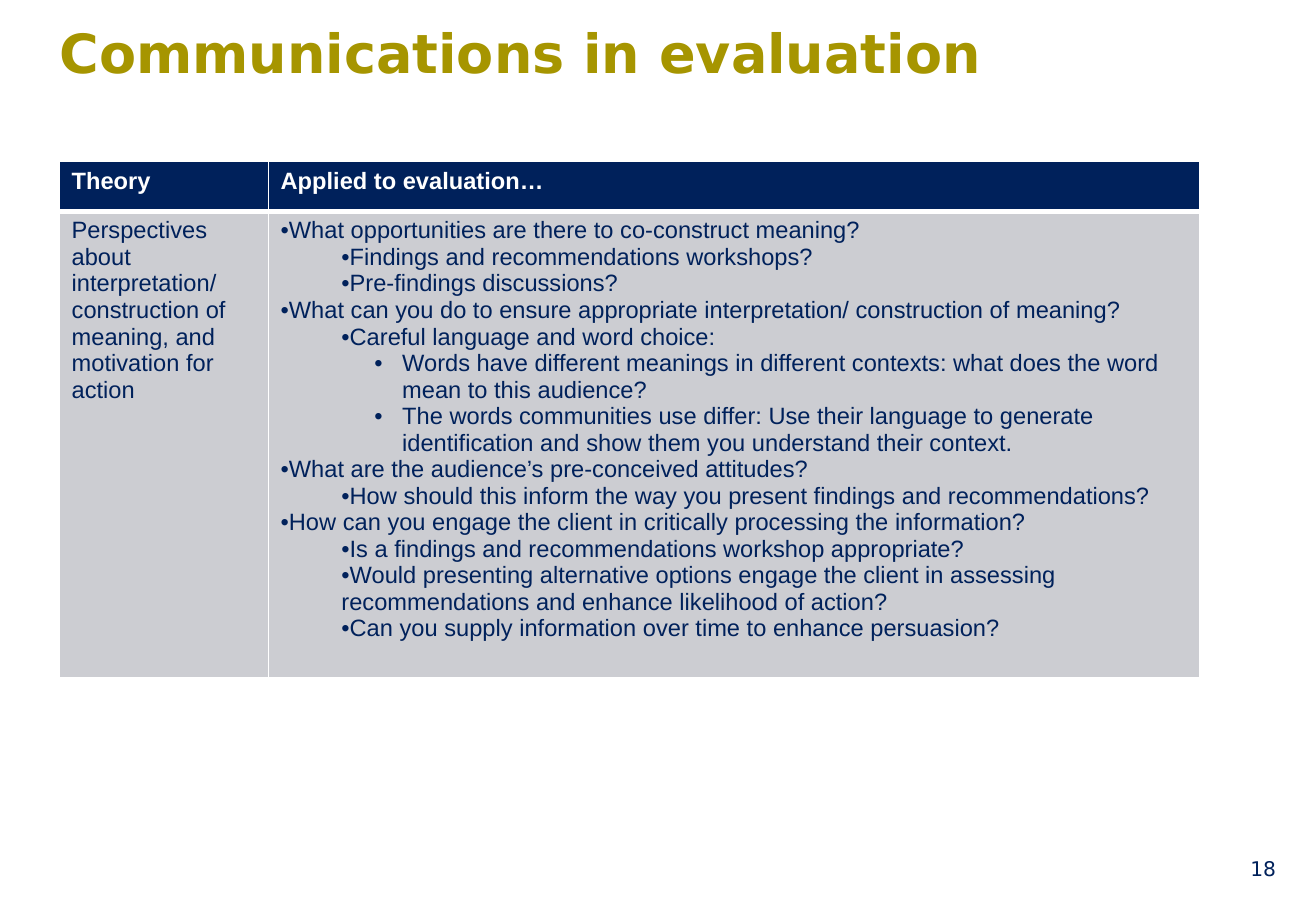
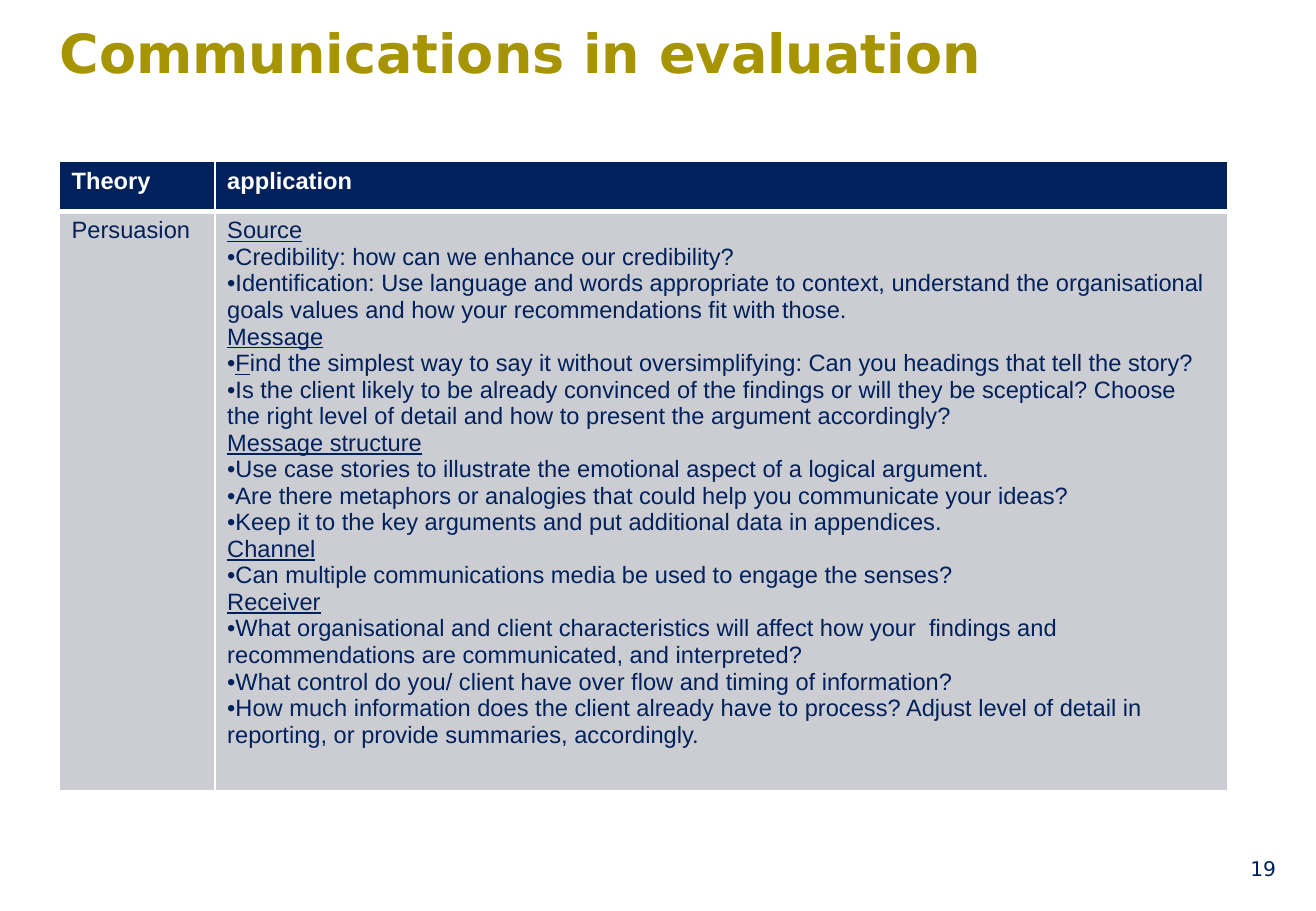
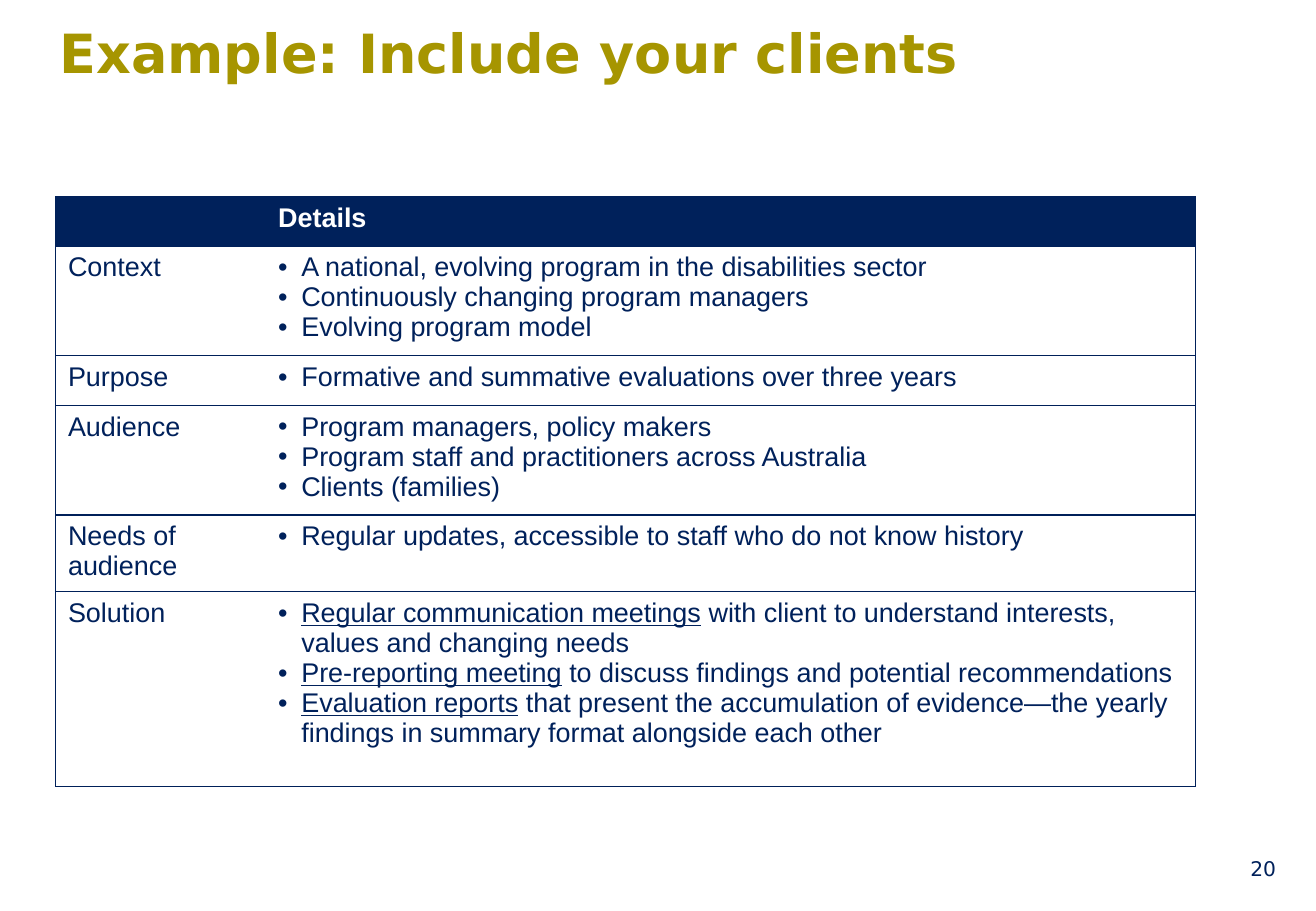
"""Builds three slides on communications in evaluation, each with a title, a table and a page number."""
from lxml import etree
from pptx import Presentation
from pptx.dml.color import RGBColor
from pptx.enum.text import MSO_ANCHOR, PP_ALIGN
from pptx.oxml.ns import qn
from pptx.util import Inches, Pt

TOP, MIDDLE = MSO_ANCHOR.TOP, MSO_ANCHOR.MIDDLE
LEFT, RIGHT = PP_ALIGN.LEFT, PP_ALIGN.RIGHT

NAVY, OUTLINE, GOLD, GREY, WHITE = "00215B", "002059", "A69500", "CCCDD2", "FFFFFF"
TITLE_FONT, TABLE_FONT = "DejaVu Sans", "Arial"
FIRST_PAGE = 18

PLAIN, POINT, SUBPOINT, DETAIL, HANGING = range(5)
INDENTS = {POINT: (0, 0), SUBPOINT: (0.5, 0), DETAIL: (1, -0.23), HANGING: (0.19, -0.19)}

INTERPRETATION = [
    (POINT, "What opportunities are there to co-construct meaning?"),
    (SUBPOINT, "Findings and recommendations workshops?"),
    (SUBPOINT, "Pre-findings discussions?"),
    (POINT, "What can you do to ensure appropriate interpretation/ construction of meaning?"),
    (SUBPOINT, "Careful language and word choice:"),
    (DETAIL, "Words have different meanings in different contexts: what does the word mean to this audience?"),
    (DETAIL, "The words communities use differ: Use their language to generate identification and show them "
             "you understand their context."),
    (POINT, "What are the audience’s pre-conceived attitudes?"),
    (SUBPOINT, "How should this inform the way you present findings and recommendations?"),
    (POINT, "How can you engage the client in critically processing the information?"),
    (SUBPOINT, "Is a findings and recommendations workshop appropriate?"),
    (SUBPOINT, "Would presenting alternative options engage the client in assessing recommendations and "
               "enhance likelihood of action?"),
    (SUBPOINT, "Can you supply information over time to enhance persuasion?"),
]

PERSUASION = [
    (PLAIN, "_Source_"),
    (POINT, "Credibility: how can we enhance our credibility?"),
    (POINT, "Identification: Use language and words appropriate to context, understand the organisational "
            "goals values and how your recommendations fit with those."),
    (PLAIN, "_Message_"),
    (POINT, "_F_ind the simplest way to say it without oversimplifying: Can you headings that tell the story?"),
    (POINT, "Is the client likely to be already convinced of the findings or will they be sceptical? Choose "
            "the right level of detail and how to present the argument accordingly?"),
    (PLAIN, "_Message structure_"),
    (POINT, "Use case stories to illustrate the emotional aspect of a logical argument."),
    (POINT, "Are there metaphors or analogies that could help you communicate your ideas?"),
    (POINT, "Keep it to the key arguments and put additional data in appendices."),
    (PLAIN, "_Channel_"),
    (POINT, "Can multiple communications media be used to engage the senses?"),
    (PLAIN, "_Receiver_"),
    (POINT, "What organisational and client characteristics will affect how your  findings and "
            "recommendations are communicated, and interpreted?"),
    (POINT, "What control do you/ client have over flow and timing of information?"),
    (POINT, "How much information does the client already have to process? Adjust level of detail in "
            "reporting, or provide summaries, accordingly."),
]

CONTEXT = [
    (HANGING, "A national, evolving program in the disabilities sector"),
    (HANGING, "Continuously changing program managers"),
    (HANGING, "Evolving program model"),
]
PURPOSE = [(HANGING, "Formative and summative evaluations over three years")]
AUDIENCE = [
    (HANGING, "Program managers, policy makers"),
    (HANGING, "Program staff and practitioners across Australia"),
    (HANGING, "Clients (families)"),
]
NEEDS = [(HANGING, "Regular updates, accessible to staff who do not know history")]
SOLUTION = [
    (HANGING, "_Regular communication meetings_ with client to understand interests, values and changing needs"),
    (HANGING, "_Pre-reporting meeting_ to discuss findings and potential recommendations"),
    (HANGING, "_Evaluation reports_ that present the accumulation of evidence—the yearly findings in summary "
              "format alongside each other"),
]

SLIDES = [
    {"title": "Communications in evaluation", "at": (0.49, 1.33), "size": 14, "outlined": False,
     "columns": [1.72, 7.66], "heights": [0.41, 3.6],
     "rows": [("Theory", "Applied to evaluation…"),
              ("Perspectives about interpretation/ construction of meaning, and motivation for action",
               INTERPRETATION)]},
    {"title": "Communications in evaluation", "at": (0.49, 1.33), "size": 14, "outlined": False,
     "columns": [1.28, 8.33], "heights": [0.41, 4.46],
     "rows": [("Theory", "application"), ("Persuasion", PERSUASION)]},
    {"title": "Example: Include your clients", "at": (0.46, 1.62), "size": 16, "outlined": True,
     "columns": [1.73, 7.65], "heights": [0.41, 0.84, 0.41, 0.84, 0.6, 1.6],
     "rows": [("", "Details"), ("Context", CONTEXT), ("Purpose", PURPOSE), ("Audience", AUDIENCE),
              ("Needs of audience", NEEDS), ("Solution", SOLUTION)]},
]


def rgb(value):
    """Return the colour for a hex string."""
    return RGBColor.from_string(value)


def style_run(run, font, size, color, bold=False):
    """Set the font of one run."""
    run.font.name, run.font.size, run.font.bold = font, Pt(size), bold
    run.font.color.rgb = rgb(color)


def add_label(page, text, area, size, color, bold=False, align=LEFT, anchor=TOP, inset=0.0):
    """Add a one-line text box."""
    box = page.shapes.add_textbox(*map(Inches, area))
    frame = box.text_frame
    frame.word_wrap, frame.vertical_anchor = True, anchor
    frame.margin_left = frame.margin_right = Inches(inset)
    frame.margin_top = frame.margin_bottom = Inches(inset / 2)
    frame.text = text
    frame.paragraphs[0].alignment = align
    style_run(frame.paragraphs[0].runs[0], TITLE_FONT, size, color, bold)


def add_bullet(para, kind):
    """Give a paragraph its bullet and indent."""
    margin, indent = INDENTS[kind]
    para.level = {SUBPOINT: 1, DETAIL: 2}.get(kind, 0)
    properties = para._p.get_or_add_pPr()
    properties.set("marL", str(Inches(margin)))
    properties.set("indent", str(Inches(indent)))
    etree.SubElement(properties, qn("a:buFont"), typeface=TABLE_FONT)
    etree.SubElement(properties, qn("a:buChar"), char="•")


def fill_cell(cell, content, size, color, bold):
    """Write the paragraphs of a cell, underlining the words between underscores."""
    lines = [(PLAIN, content)] if isinstance(content, str) else content
    frame = cell.text_frame
    for number, (kind, text) in enumerate(lines):
        para = frame.add_paragraph() if number else frame.paragraphs[0]
        if kind != PLAIN:
            add_bullet(para, kind)
        for part, words in enumerate(text.split("_")):
            if words:
                span = para.add_run()
                span.text = words
                style_run(span, TABLE_FONT, size, color, bold)
                span.font.underline = part % 2 == 1


def set_borders(cell, borders):
    """Draw the left, right, top and bottom borders, each a (colour, points) pair or None."""
    properties = cell._tc.get_or_add_tcPr()
    for position, (side, border) in enumerate(zip("LRTB", borders)):
        color, width = border or (None, 0)
        line = etree.Element(qn(f"a:ln{side}"), w=str(Pt(width)))
        if color:
            solid = etree.SubElement(line, qn("a:solidFill"))
            etree.SubElement(solid, qn("a:srgbClr"), val=color)
        else:
            etree.SubElement(line, qn("a:noFill"))
        properties.insert(position, line)


def cell_borders(row, column, last_column, outlined):
    """Choose the four borders of a cell from its place in the table."""
    if outlined:
        edge = (OUTLINE, 0.75)
        return edge if column == 0 else None, edge if column == last_column else None, edge, edge
    thin, thick = (WHITE, 1), (WHITE, 3)
    return thin, thin, thick if row == 1 else thin, thick if row == 0 else thin


def add_grid(page, content):
    """Add the table of a slide."""
    columns, heights, rows = content["columns"], content["heights"], content["rows"]
    area = (*content["at"], sum(columns), sum(heights))
    table = page.shapes.add_table(len(rows), len(columns), *map(Inches, area)).table
    table.horz_banding = False
    for column, width in zip(table.columns, columns):
        column.width = Inches(width)
    for r, (texts, height) in enumerate(zip(rows, heights)):
        table.rows[r].height = Inches(height)
        header = r == 0
        for c, text in enumerate(texts):
            cell = table.cell(r, c)
            fill_cell(cell, text, content["size"], WHITE if header else NAVY, header)
            if content["outlined"] and not header:
                cell.fill.background()
            else:
                cell.fill.solid()
                cell.fill.fore_color.rgb = rgb(NAVY if header else GREY)
            set_borders(cell, cell_borders(r, c, len(columns) - 1, content["outlined"]))


def main():
    """Build and save the deck."""
    deck = Presentation()
    deck.slide_width, deck.slide_height = Inches(10.83), Inches(7.5)
    for number, content in enumerate(SLIDES, FIRST_PAGE):
        page = deck.slides.add_slide(deck.slide_layouts[6])
        add_label(page, content["title"], (0.49, 0.16, 9.73, 1.01), 32, GOLD, bold=True)
        add_grid(page, content)
        add_label(page, str(number), (8.07, 6.95, 2.53, 0.4), 12, NAVY,
                  align=RIGHT, anchor=MIDDLE, inset=0.1)
    deck.save("out.pptx")


if __name__ == "__main__":
    main()
